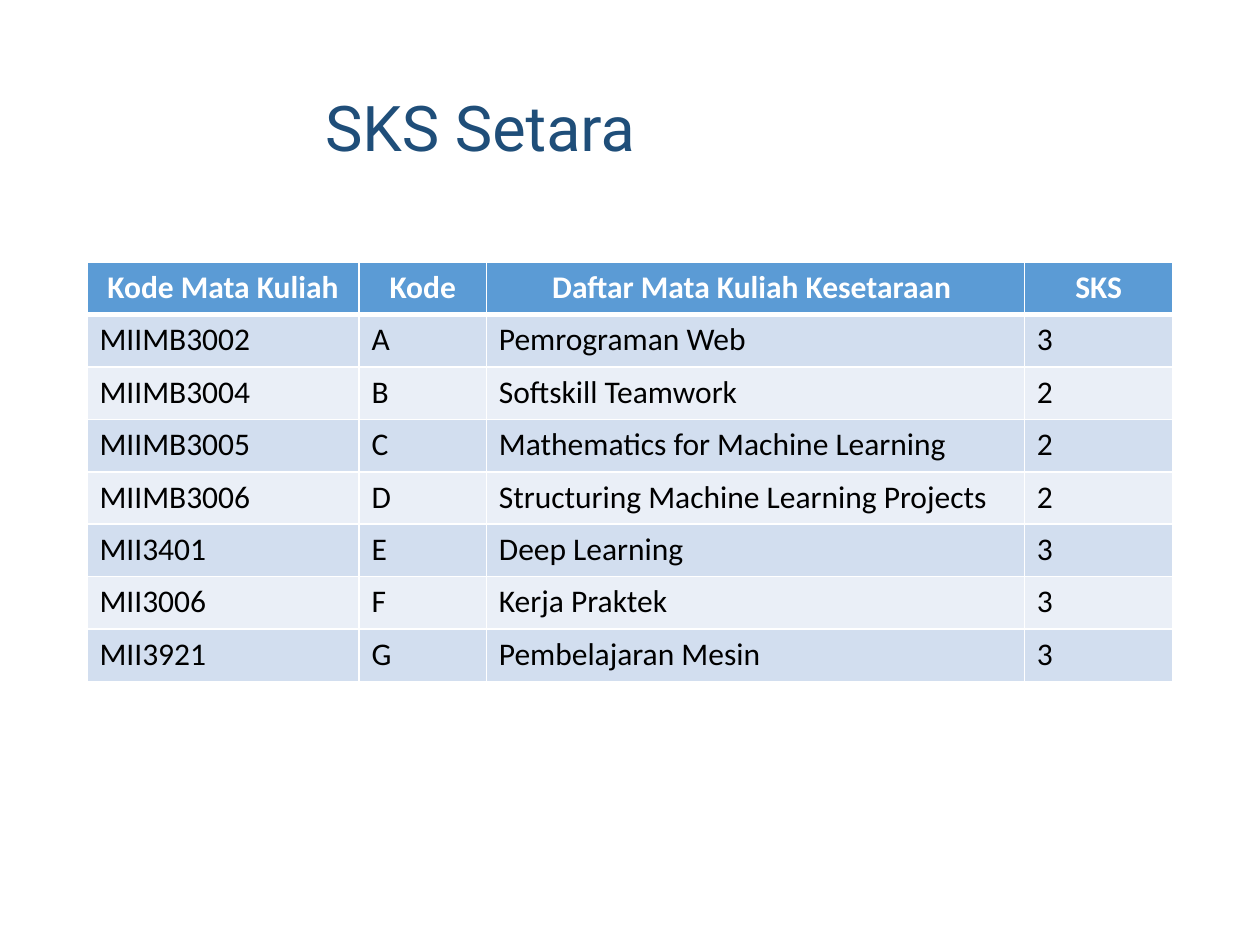
from lxml import etree
from pptx import Presentation, util as u
from pptx.dml.color import RGBColor
from pptx.enum import text as t
from pptx.oxml import ns

HUE = {"title": "1F4E79", "head": "5B9BD5", "odd": "D2DEEF",
       "even": "EAEFF7", "line": "FFFFFF", "ink": "000000"}

ROWS = [
    ("Kode Mata Kuliah", "Kode", "Daftar Mata Kuliah Kesetaraan ", "SKS"),
    ("MIIMB3002", "A", "Pemrograman Web", "3"),
    ("MIIMB3004", "B", "Softskill Teamwork", "2"),
    ("MIIMB3005", "C", "Mathematics for Machine Learning", "2"),
    ("MIIMB3006", "D", "Structuring Machine Learning Projects", "2"),
    ("MII3401", "E", "Deep Learning", "3"),
    ("MII3006", "F", "Kerja Praktek", "3"),
    ("MII3921", "G", "Pembelajaran Mesin", "3"),
]
COLS = [2.16, 1.01, 4.27, 1.18]
HIGH = 3.33 / len(ROWS)


def put(frame, words, size=18, font="Calibri", hue="ink", bold=False,
        align=t.PP_ALIGN.LEFT, space=1.0):
    par = frame.paragraphs[0]
    par.alignment, par.line_spacing = align, space
    run = par.add_run()
    run.text = words
    run.font.size, run.font.name, run.font.bold = u.Pt(size), font, bold
    run.font.color.rgb = RGBColor.from_string(HUE[hue])


def edge(cell, side, width):
    line = etree.SubElement(cell._tc.get_or_add_tcPr(), ns.qn("a:ln" + side),
                            w=str(u.Pt(width)))
    fill = etree.SubElement(line, ns.qn("a:solidFill"))
    etree.SubElement(fill, ns.qn("a:srgbClr"), val=HUE["line"])


# Slide
deck = Presentation()
deck.slide_width, deck.slide_height = u.Inches(10), u.Inches(7.5)
slide = deck.slides.add_slide(deck.slide_layouts[5])

# Title
title = slide.shapes.title
title.left, title.top = u.Inches(2.48), u.Inches(0.4)
title.width, title.height = u.Inches(6.84), u.Inches(1.28)
title.text_frame.vertical_anchor = t.MSO_ANCHOR.MIDDLE
put(title.text_frame, "SKS Setara", size=36, font="Roboto", hue="title", space=0.9)

# Table grid
grid = slide.shapes.add_table(
    len(ROWS), len(COLS), u.Inches(0.69), u.Inches(2.08),
    u.Inches(sum(COLS)), u.Inches(HIGH * len(ROWS))).table
for col, wide in zip(grid.columns, COLS):
    col.width = u.Inches(wide)

# Cells: header row, then banded rows, with a thick rule under the header
for r, row in enumerate(ROWS):
    head = r == 0
    band = "head" if head else "odd" if r % 2 else "even"
    for c, words in enumerate(row):
        cell = grid.cell(r, c)
        for side in "LRTB":
            thick = (r, side) in ((0, "B"), (1, "T"))
            edge(cell, side, 3 if thick else 1)
        cell.fill.solid()
        cell.fill.fore_color.rgb = RGBColor.from_string(HUE[band])
        put(cell.text_frame, words, bold=head, hue="line" if head else "ink",
            align=t.PP_ALIGN.CENTER if head else t.PP_ALIGN.LEFT)

deck.save("out.pptx")
